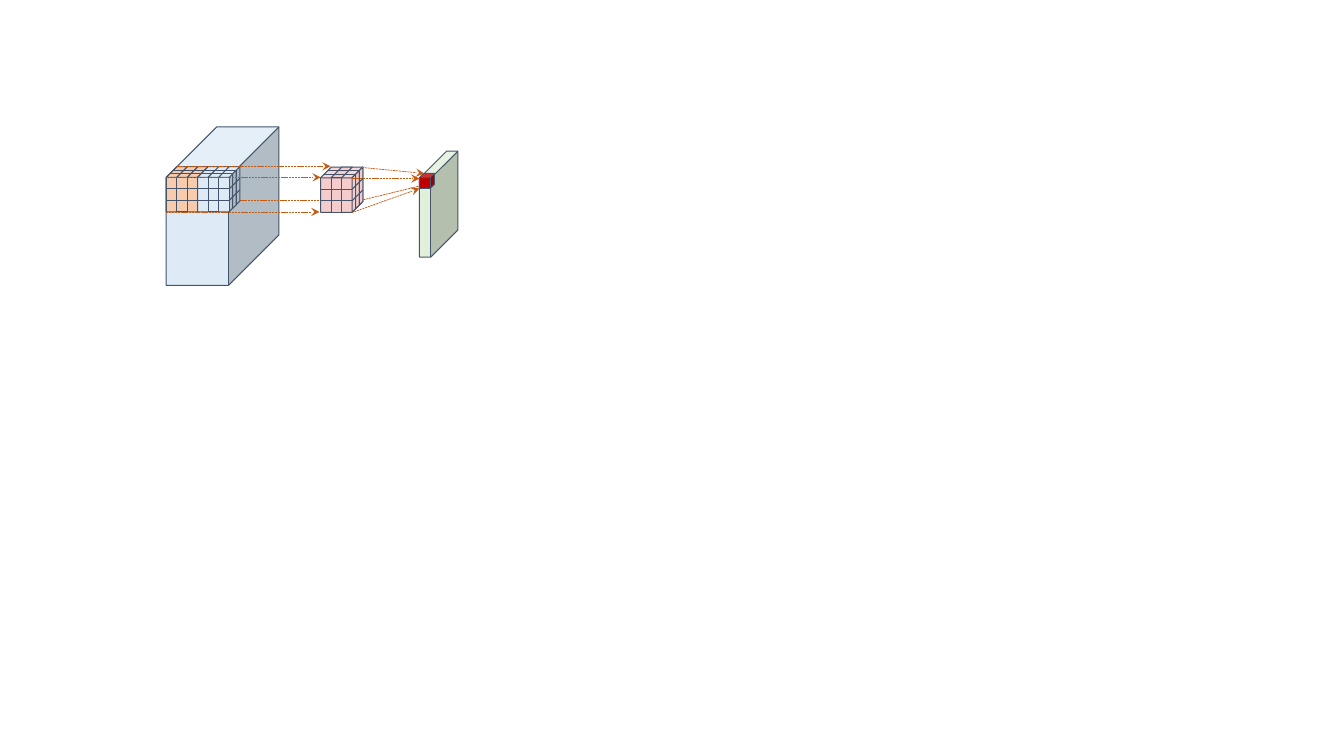
import pptx
import pptx.dml.color
import pptx.enum.dml
import pptx.enum.shapes
import pptx.oxml.ns
import pptx.util
from lxml import etree

Cm = pptx.util.Cm
MSO = pptx.enum.shapes.MSO_SHAPE
NAVY, RUST = "44546A", "C55A11"
BLUE, ORANGE, PINK = "DEEBF7", "F8CBAD", "F4CCCC"
GREEN, RED, SLATE = "E2F0D9", "C00000", "ADB9CA"
DEPTH, CELL_W, CELL_H, N = 0.27, 0.265, 0.29, 3
FRONT_W, FRONT_H = N * CELL_W, N * CELL_H
STEP = DEPTH / N


def color(value):
    return pptx.dml.color.RGBColor.from_string(value)


def style(sp, fill):
    sp.shadow.inherit = False
    sp.fill.solid()
    sp.fill.fore_color.rgb = color(fill)
    sp.line.color.rgb = color(NAVY)
    sp.line.width = pptx.util.Pt(0.75)


def add_preset(s, kind, x, y, w, h, fill, adj=None):
    sp = s.shapes.add_shape(kind, Cm(x), Cm(y), Cm(w), Cm(h))
    if adj is not None:
        sp.adjustments[0] = adj
    style(sp, fill)


def add_line(s, x1, y1, x2, y2, line=NAVY, width=0.75):
    cn = s.shapes.add_connector(pptx.enum.shapes.MSO_CONNECTOR.STRAIGHT,
                                Cm(x1), Cm(y1), Cm(x2), Cm(y2))
    cn.line.color.rgb = color(line)
    cn.line.width = pptx.util.Pt(width)
    etree.SubElement(cn._element.spPr, pptx.oxml.ns.qn("a:effectLst"))
    return cn


def add_arrow(s, x1, y1, x2, y2):
    cn = add_line(s, x1, y1, x2, y2, RUST, 0.5)
    cn.line.dash_style = pptx.enum.dml.MSO_LINE.SQUARE_DOT
    ln = cn.line._get_or_add_ln()
    etree.SubElement(ln, pptx.oxml.ns.qn("a:tailEnd"), type="stealth")


def add_side_strip(s, x, y, fill):
    points = [(x + STEP, y - STEP), (x + STEP, y - STEP + FRONT_H), (x, y + FRONT_H)]
    fb = s.shapes.build_freeform(Cm(x), Cm(y))
    fb.add_line_segments([(Cm(px), Cm(py)) for px, py in points], close=True)
    style(fb.convert_to_shape(), fill)


def add_grid_cube(s, x, y, fill, top_cells, side_strips, side_fill):
    front, right = y + DEPTH, x + FRONT_W
    add_preset(s, MSO.CUBE, x, y, FRONT_W + DEPTH, FRONT_H + DEPTH, fill, 0.255)
    add_preset(s, MSO.RECTANGLE, x + CELL_W, front, CELL_W, FRONT_H, fill)
    for i in top_cells:
        add_preset(s, MSO.PARALLELOGRAM, x + i * CELL_W, y, CELL_W + DEPTH, DEPTH, fill, 1)
    for i in range(1, N):
        shift = i * STEP
        add_line(s, x + shift, front - shift, right + shift, front - shift)
    for i in range(1, N):
        row = front + i * CELL_H
        add_line(s, x, row, right, row)
    for i in side_strips:
        add_side_strip(s, right + i * STEP, front - i * STEP, side_fill)
    for i in range(1, N):
        row = front + i * CELL_H
        add_line(s, right, row, right + DEPTH, row - DEPTH)


def main():
    prs = pptx.Presentation()
    prs.slide_width, prs.slide_height = Cm(33.87), Cm(19.05)
    s = prs.slides.add_slide(prs.slide_layouts[6])

    add_arrow(s, 9.09, 5.05, 10.85, 4.62)
    add_preset(s, MSO.CUBE, 4.19, 3.2, 2.84, 3.99, BLUE, 0.447)
    add_arrow(s, 5.03, 5.05, 9.09, 5.05)
    add_grid_cube(s, 4.19, 4.2, ORANGE, range(N), range(N), ORANGE)
    add_preset(s, MSO.CUBE, 10.57, 3.81, 0.97, 2.67, GREEN, 0.707)
    add_preset(s, MSO.CUBE, 10.57, 4.37, 0.38, 0.38, RED, 0.282)
    add_grid_cube(s, 4.98, 4.2, BLUE, range(N), [1], SLATE)
    add_grid_cube(s, 8.08, 4.21, PINK, [1], range(N), PINK)

    for ends in [(4.45, 4.19, 8.33, 4.19),
                 (4.19, 4.47, 8.08, 4.47),
                 (4.19, 5.34, 8.05, 5.34),
                 (9.12, 4.22, 10.69, 4.37),
                 (8.86, 4.5, 10.57, 4.5),
                 (8.86, 5.36, 10.57, 4.75)]:
        add_arrow(s, *ends)

    prs.save("out.pptx")


main()
